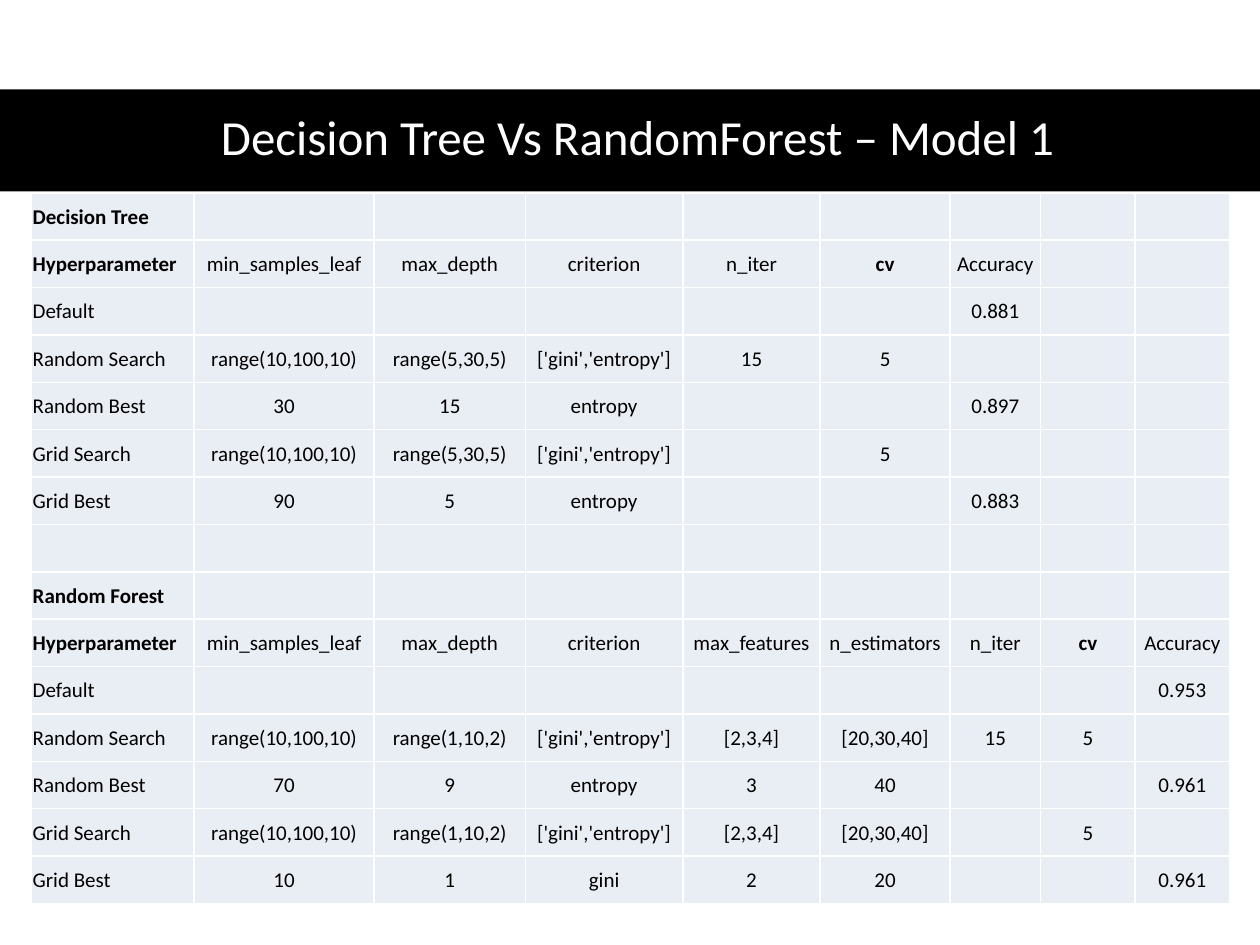
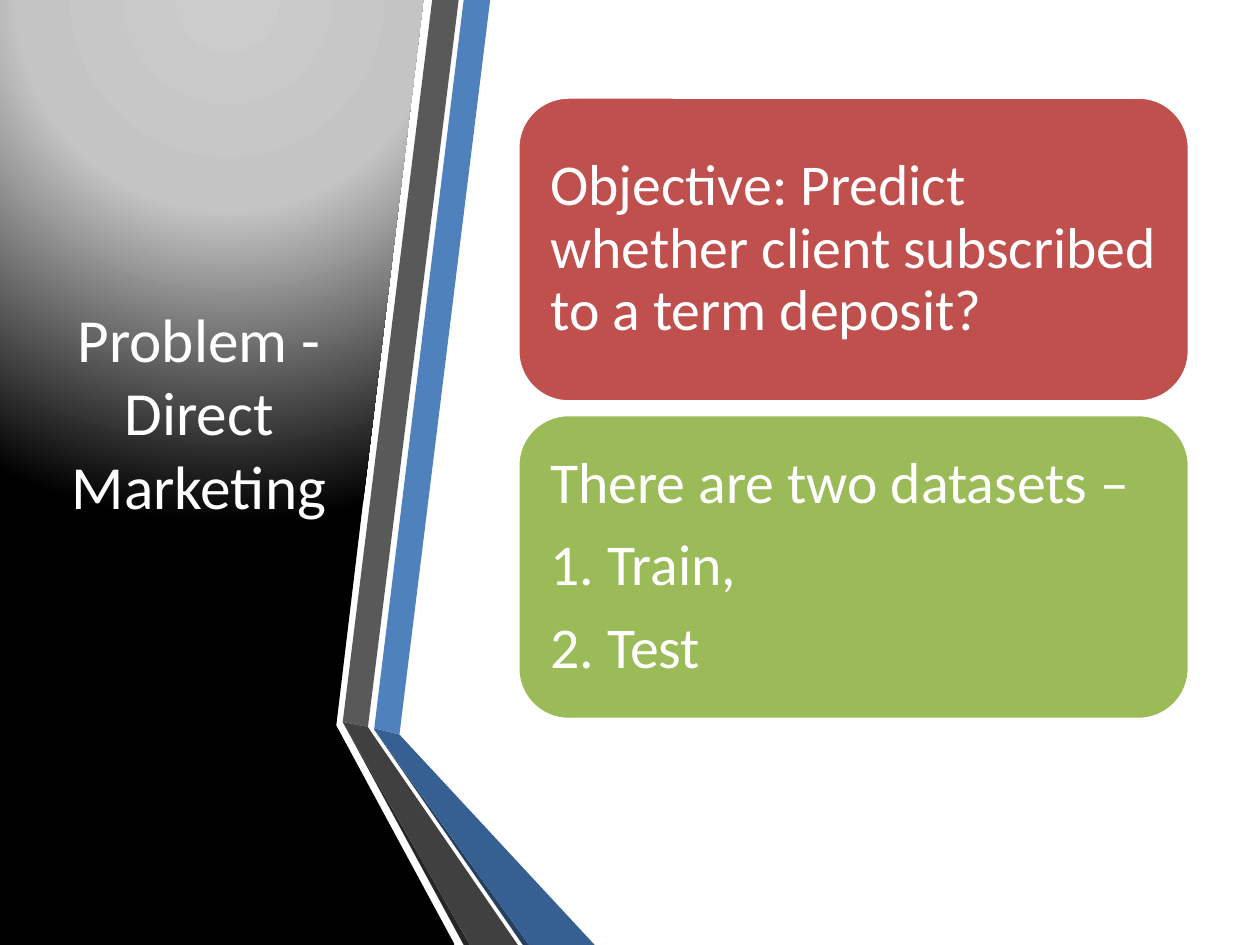
from lxml import etree
from pptx import Presentation
from pptx import util as u
from pptx.dml.color import RGBColor
from pptx.enum import shapes, text
from pptx.oxml import parse_xml
from pptx.oxml.ns import nsdecls, qn

FONT = "Calibri"
COLORS = {
    "white": "FFFFFF", "black": "000000", "cell": "E9EDF4",
    "blue": "4F81BD", "blue_dark": "376092", "blue_edge": "254061",
    "gray": "595959", "gray_dark": "404040", "gray_edge": "262626",
    "red": "C0504D", "green": "9BBB59",
    "glow": "CCCCCC", "glow_mid": "C4C4C4",
}

presentation = Presentation()
presentation.slide_width = u.Inches(10)
presentation.slide_height = u.Inches(7.5)
blank = presentation.slide_layouts[6]

# Every length is counted on a grid of 1000 columns by 750 rows
UNIT = presentation.slide_width // 1000


def paint(shape, color):
    shape.shadow.inherit = False
    shape.fill.solid()
    shape.fill.fore_color.rgb = RGBColor.from_string(COLORS[color])
    shape.line.fill.background()


def write(text_frame, lines, size, align, spacing=1.0, after=0):
    text_frame.word_wrap = True
    text_frame.vertical_anchor = text.MSO_ANCHOR.MIDDLE
    text_frame.text = "\n".join(lines)
    for paragraph in text_frame.paragraphs:
        paragraph.alignment = align
        paragraph.line_spacing = spacing
        paragraph.space_after = u.Pt(after)
        for run in paragraph.runs:
            run.font.name = FONT
            run.font.size = u.Pt(size)
            run.font.color.rgb = RGBColor.from_string(COLORS["white"])


# Slide 1: title band
slide = presentation.slides.add_slide(blank)
band = slide.shapes.add_shape(
    shapes.MSO_SHAPE.RECTANGLE, 0, 71 * UNIT, 1000 * UNIT, 81 * UNIT)
paint(band, "black")
title = slide.shapes.add_textbox(46 * UNIT, 70 * UNIT, 920 * UNIT, 81 * UNIT)
write(title.text_frame, ["Decision Tree Vs RandomForest – Model 1"], 28,
      text.PP_ALIGN.CENTER, 0.9)

# Slide 1: table of results
splits = "['gini','entropy']"
leaves = "range(10,100,10)"
tree_depths, forest_depths = "range(5,30,5)", "range(1,10,2)"
features, estimators = "[2,3,4]", "[20,30,40]"
shared_heads = ["Hyperparameter", "min_samples_leaf", "max_depth", "criterion"]
rows = [
    ["Decision Tree"],
    shared_heads + ["n_iter", "cv", "Accuracy"],
    ["Default", "", "", "", "", "", "0.881"],
    ["Random Search", leaves, tree_depths, splits, "15", "5"],
    ["Random Best", "30", "15", "entropy", "", "", "0.897"],
    ["Grid Search", leaves, tree_depths, splits, "", "5"],
    ["Grid Best", "90", "5", "entropy", "", "", "0.883"],
    [],
    ["Random Forest"],
    shared_heads + ["max_features", "n_estimators", "n_iter", "cv", "Accuracy"],
    ["Default", "", "", "", "", "", "", "", "0.953"],
    ["Random Search", leaves, forest_depths, splits, features, estimators, "15", "5"],
    ["Random Best", "70", "9", "entropy", "3", "40", "", "", "0.961"],
    ["Grid Search", leaves, forest_depths, splits, features, estimators, "", "5"],
    ["Grid Best", "10", "1", "gini", "2", "20", "", "", "0.961"],
]
bold_words = {"Decision Tree", "Random Forest", "Hyperparameter", "cv"}
column_widths = [129, 143, 120, 125, 109, 103, 72, 75, 75]

table = slide.shapes.add_table(
    len(rows), len(column_widths), 25 * UNIT, 153 * UNIT,
    sum(column_widths) * UNIT, 564 * UNIT).table
table.first_row = False
table.horz_banding = False
for column, width in zip(table.columns, column_widths):
    column.width = width * UNIT

for row_index, row in enumerate(rows):
    for column_index in range(len(column_widths)):
        cell = table.cell(row_index, column_index)
        cell.margin_left = cell.margin_right = cell.margin_top = UNIT
        cell.margin_bottom = 0
        cell.vertical_anchor = text.MSO_ANCHOR.MIDDLE
        # Borders come before the fill in the cell's properties
        properties = cell._tc.get_or_add_tcPr()
        for side in ("lnL", "lnR", "lnT", "lnB"):
            border = etree.SubElement(properties, qn("a:" + side), w=str(u.Pt(1)))
            solid = etree.SubElement(border, qn("a:solidFill"))
            etree.SubElement(solid, qn("a:srgbClr"), val=COLORS["white"])
        cell.fill.solid()
        cell.fill.fore_color.rgb = RGBColor.from_string(COLORS["cell"])
        if column_index < len(row) and row[column_index]:
            word = row[column_index]
            cell.text_frame.text = word
            paragraph = cell.text_frame.paragraphs[0]
            paragraph.alignment = (
                text.PP_ALIGN.CENTER if column_index else text.PP_ALIGN.LEFT)
            font = paragraph.runs[0].font
            font.name = FONT
            font.size = u.Pt(12)
            font.bold = word in bold_words
            font.color.rgb = RGBColor.from_string(COLORS["black"])

# Slide 2: glowing side panel, then the folded ribbons
slide = presentation.slides.add_slide(blank)
ribbons = slide.shapes.add_group_shape()
outlines = [
    (slide, "black", [(264, 0), (336, 0), (267, 575), (267, 576), (361, 750),
                      (0, 750), (0, 0)]),
    (ribbons, "blue", [(297, 578), (317, 583), (389, 0), (368, 0)]),
    (ribbons, "gray", [(364, 0), (343, 0), (272, 573), (292, 577)]),
    (ribbons, "gray_edge", [(272, 573), (368, 750), (373, 750)]),
    (ribbons, "blue_edge", [(297, 579), (415, 750), (420, 750)]),
    (ribbons, "blue_dark", [(297, 579), (420, 750), (472, 750), (317, 583),
                            (297, 578)]),
    (ribbons, "gray_dark", [(411, 750), (296, 583), (292, 577), (272, 573),
                            (373, 750)]),
]
for parent, color, points in outlines:
    builder = parent.shapes.build_freeform(*points[0], scale=UNIT)
    builder.add_line_segments(points[1:], close=True)
    outline = builder.convert_to_shape()
    paint(outline, color)
    if color == "black":
        panel = outline

# The panel's solid fill gives way to a circular gradient
stops = [(0, "glow"), (40, "glow_mid"), (100, "black")]
stop_xml = "".join(
    f'<a:gs pos="{share * 1000}"><a:srgbClr val="{COLORS[color]}"/></a:gs>'
    for share, color in stops)
gradient = parse_xml(
    f'<a:gradFill {nsdecls("a")} rotWithShape="1"><a:gsLst>{stop_xml}</a:gsLst>'
    '<a:path path="circle"><a:fillToRect l="50000" t="-80000" r="50000" b="180000"/>'
    '</a:path></a:gradFill>')
panel_properties = panel._element.spPr
panel_properties.replace(panel_properties.find(qn("a:solidFill")), gradient)

# Slide 2: title, raised above the middle by its lower margin
title = slide.shapes.add_textbox(44 * UNIT, 75 * UNIT, 228 * UNIT, 558 * UNIT)
title.text_frame.margin_bottom = 60 * UNIT
write(title.text_frame, ["Problem - Direct Marketing"], 35, text.PP_ALIGN.CENTER)

# Slide 2: cards
cards = [
    ("red", ["Objective: Predict whether client subscribed to a term deposit?"]),
    ("green", ["There are two datasets –", "1. Train,", "2. Test"]),
]
for index, (color, lines) in enumerate(cards):
    card = slide.shapes.add_shape(
        shapes.MSO_SHAPE.ROUNDED_RECTANGLE,
        411 * UNIT, (77 + 252 * index) * UNIT, 533 * UNIT, 242 * UNIT)
    paint(card, color)
    card.line.color.rgb = RGBColor.from_string(COLORS["white"])
    card.line.width = u.Pt(2)
    frame = card.text_frame
    frame.margin_left = frame.margin_right = 14 * UNIT
    frame.margin_top = frame.margin_bottom = 14 * UNIT
    write(frame, lines, 33, text.PP_ALIGN.LEFT, 0.9, 11.5)

presentation.save("out.pptx")
